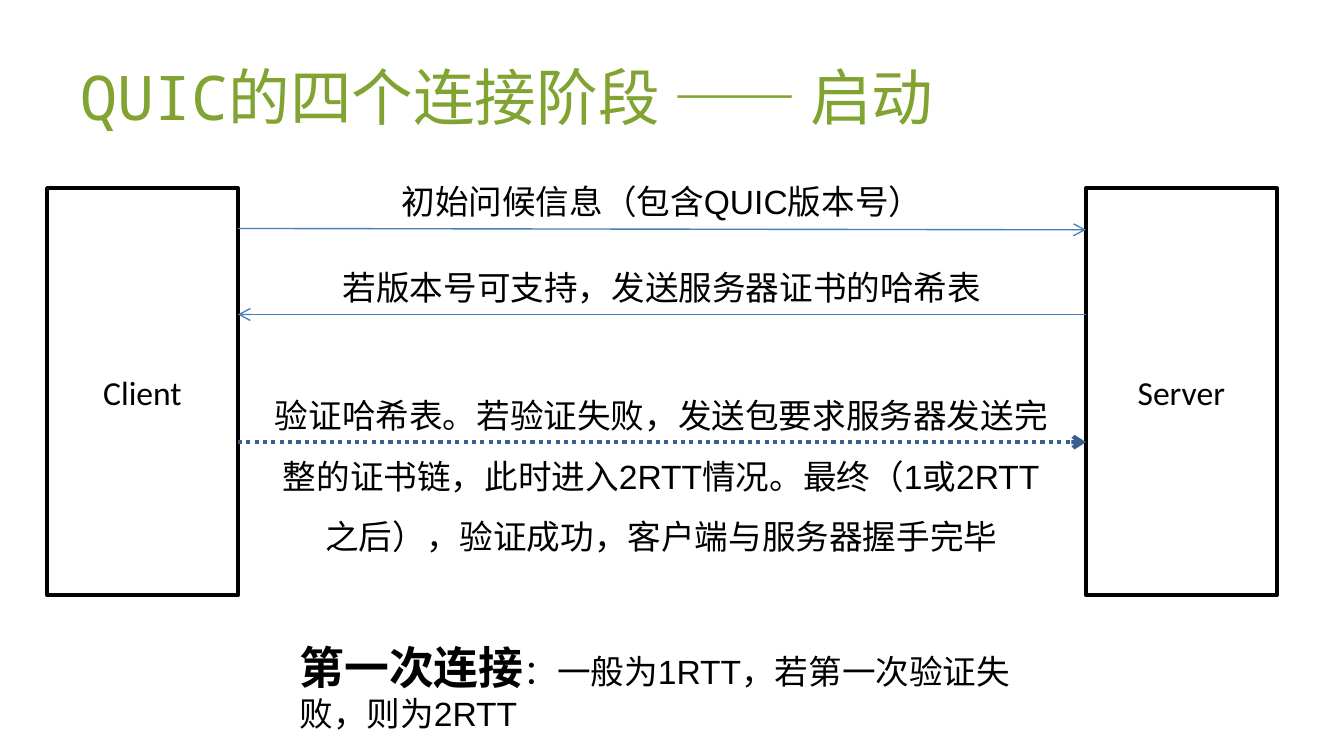
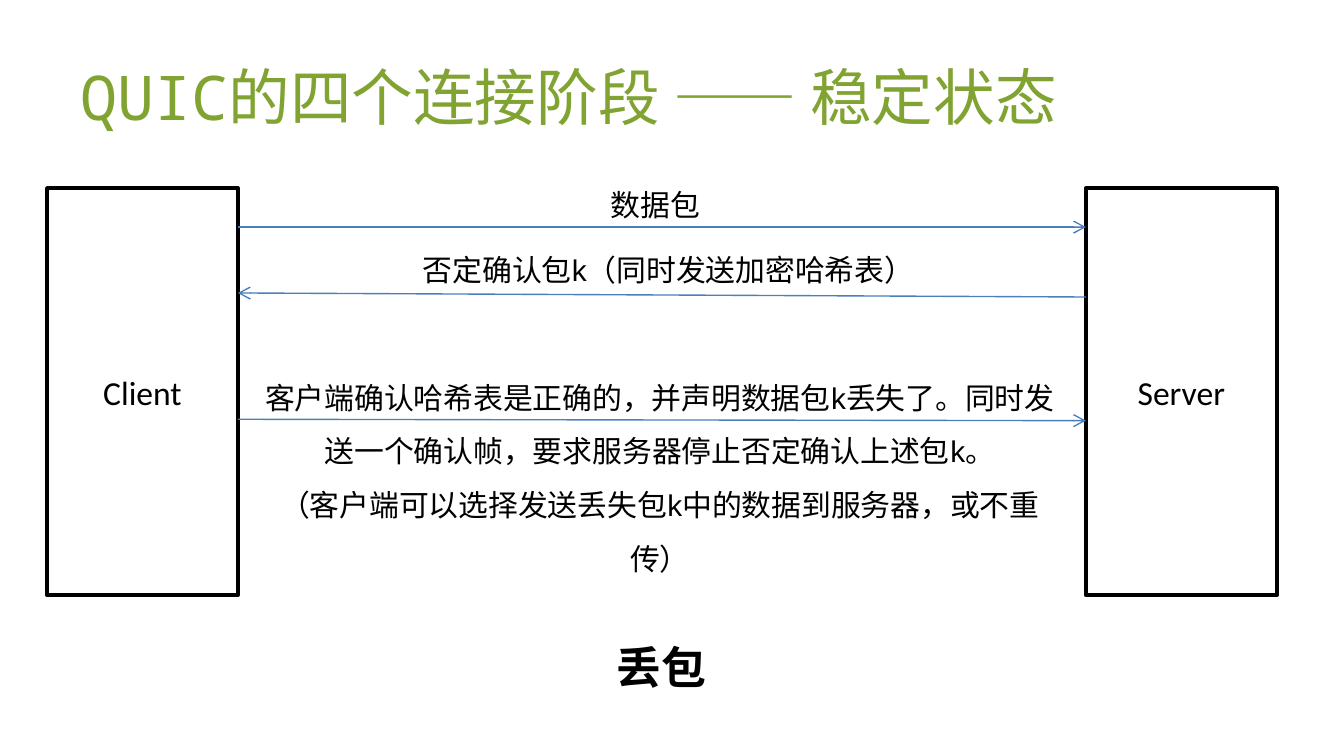
import lxml.etree
import pptx
import pptx.dml.color
import pptx.enum.dml
import pptx.enum.shapes
import pptx.enum.text
import pptx.oxml.ns
import pptx.util

ALIGN = pptx.enum.text.PP_ALIGN
ANCHOR = pptx.enum.text.MSO_ANCHOR
FIT = pptx.enum.text.MSO_AUTO_SIZE
DASH = pptx.enum.dml.MSO_LINE_DASH_STYLE

# Theme: colours, fonts and type sizes
THEME = {
    "green": "80A331", "black": "000000", "white": "FFFFFF",
    "blue": "4B7EBC", "navy": "3A5F8C",
    "mono": "Noto Sans Mono", "sans": "Arial", "peer": "Calibri",
    "title": 33, "head": 24, "text": 18, "small": 16,
}

# Grid in inches: a 16:9 page, two peers with a lane between them
WIDE = 10
HIGH = WIDE * 9 / 16
TITLE = (0.5, 0.21, 8.48, 1)
TOP, PEER_W, PEER_H = 1.4, 1.42, 3.03
PEERS = {"Client": 0.35, "Server": 8.08}
LANE = (PEERS["Client"] + PEER_W, PEERS["Server"])
FOOT_X, FOOT_Y, FOOT_W = 2.13, 4.71, 5.58

# Content: each message has its text, box, and arrow heights at client and server
SLIDES = [
    {
        "title": "QUIC的四个连接阶段 —— 启动",
        "size": "text",
        "notes": [
            {"text": ["初始问候信息（包含QUIC版本号）"],
             "box": (2.18, 1.3, 5.49, 0.4), "ends": (1.7, 1.71)},
            {"text": ["若版本号可支持，发送服务器证书的哈希表"],
             "box": (2.18, 1.94, 5.49, 0.4), "ends": (2.34, 2.34), "back": True},
            {"text": ["验证哈希表。若验证失败，发送包要求服务器发送完整的证书链，"
                      "此时进入2RTT情况。最终（1或2RTT之后），验证成功，"
                      "客户端与服务器握手完毕"],
             "box": (1.89, 2.74, 6.06, 1.45), "ends": (3.29, 3.29),
             "space": 1.5, "dots": True},
        ],
        "foot": ("第一次连接", "：一般为1RTT，若第一次验证失败，则为2RTT"),
        "foot_h": 0.83, "align": ALIGN.LEFT,
    },
    {
        "title": "QUIC的四个连接阶段 —— 稳定状态",
        "size": "small",
        "notes": [
            {"text": ["数据包"],
             "box": (2.13, 1.21, 5.49, 0.5), "ends": (1.69, 1.69), "space": 1.5},
            {"text": ["否定确认包k（同时发送加密哈希表）"],
             "box": (2.23, 1.69, 5.49, 0.5), "ends": (2.18, 2.21),
             "space": 1.5, "back": True},
            {"text": ["客户端确认哈希表是正确的，并声明数据包k丢失了。"
                      "同时发送一个确认帧，要求服务器停止否定确认上述包k。",
                      "（客户端可以选择发送丢失包k中的数据到服务器，或不重传）"],
             "box": (1.77, 2.64, 6.28, 1.3), "ends": (3.12, 3.13), "space": 1.5},
        ],
        "foot": ("丢包",),
        "foot_h": 0.53, "align": ALIGN.CENTER,
    },
]


def inches(*sizes):
    return [pptx.util.Inches(size) for size in sizes]


def paint(name):
    return pptx.dml.color.RGBColor.from_string(THEME[name])


def write(part, text, size="text", font="sans", color="black", bold=False,
          align=ALIGN.CENTER, space=None):
    """Add one run of text to a paragraph and format both."""
    part.alignment = align
    if space:
        part.line_spacing = space
    run = part.add_run()
    run.text = text
    run.font.size = pptx.util.Pt(THEME[size])
    run.font.name = THEME[font]
    run.font.bold = bold
    run.font.color.rgb = paint(color)


def add_box(slide, box):
    frame = slide.shapes.add_textbox(*inches(*box)).text_frame
    frame.word_wrap = True
    frame.auto_size = FIT.SHAPE_TO_FIT_TEXT
    return frame


def add_title(slide, text):
    title = slide.shapes.title
    title.left, title.top, title.width, title.height = inches(*TITLE)
    frame = title.text_frame
    frame.auto_size = FIT.NONE
    frame.vertical_anchor = ANCHOR.MIDDLE
    write(frame.paragraphs[0], text, size="title", font="mono",
          color="green", align=ALIGN.LEFT)


def add_peer(slide, name, left):
    peer = slide.shapes.add_shape(pptx.enum.shapes.MSO_SHAPE.RECTANGLE,
                                  *inches(left, TOP, PEER_W, PEER_H))
    peer.shadow.inherit = False
    peer.fill.solid()
    peer.fill.fore_color.rgb = paint("white")
    peer.line.color.rgb = paint("black")
    peer.line.width = pptx.util.Pt(2)
    peer.text_frame.vertical_anchor = ANCHOR.MIDDLE
    write(peer.text_frame.paragraphs[0], name, font="peer")


def add_arrow(slide, ends, back=False, dots=False):
    start, stop = zip(LANE, ends)
    if back:
        start, stop = stop, start
    arrow = slide.shapes.add_connector(pptx.enum.shapes.MSO_CONNECTOR.STRAIGHT,
                                       *inches(*start, *stop))
    arrow.line.color.rgb = paint("navy" if dots else "blue")
    arrow.line.width = pptx.util.Pt(2.25 if dots else 0.75)
    if dots:
        arrow.line.dash_style = DASH.ROUND_DOT
    # Arrowhead, and no shadow
    qn = pptx.oxml.ns.qn
    look = arrow._element.spPr
    lxml.etree.SubElement(look.find(qn("a:ln")), qn("a:tailEnd"), type="arrow")
    lxml.etree.SubElement(look, qn("a:effectLst"))


def add_note(slide, note, size):
    add_arrow(slide, note["ends"], note.get("back", False), note.get("dots", False))
    frame = add_box(slide, note["box"])
    for row, text in enumerate(note["text"]):
        part = frame.add_paragraph() if row else frame.paragraphs[0]
        write(part, text, size=size, space=note.get("space"))


def add_foot(slide, data):
    part = add_box(slide, (FOOT_X, FOOT_Y, FOOT_W, data["foot_h"])).paragraphs[0]
    head, *rest = data["foot"]
    write(part, head, size="head", font="mono", bold=True, align=data["align"])
    for text in rest:
        write(part, text, align=data["align"])


def main():
    deck = pptx.Presentation()
    deck.slide_width, deck.slide_height = inches(WIDE, HIGH)
    plain = deck.slide_layouts.get_by_name("Title Only")
    for data in SLIDES:
        slide = deck.slides.add_slide(plain)
        add_title(slide, data["title"])
        for name, left in PEERS.items():
            add_peer(slide, name, left)
        for note in data["notes"]:
            add_note(slide, note, data["size"])
        add_foot(slide, data)
    deck.save("out.pptx")


if __name__ == "__main__":
    main()
